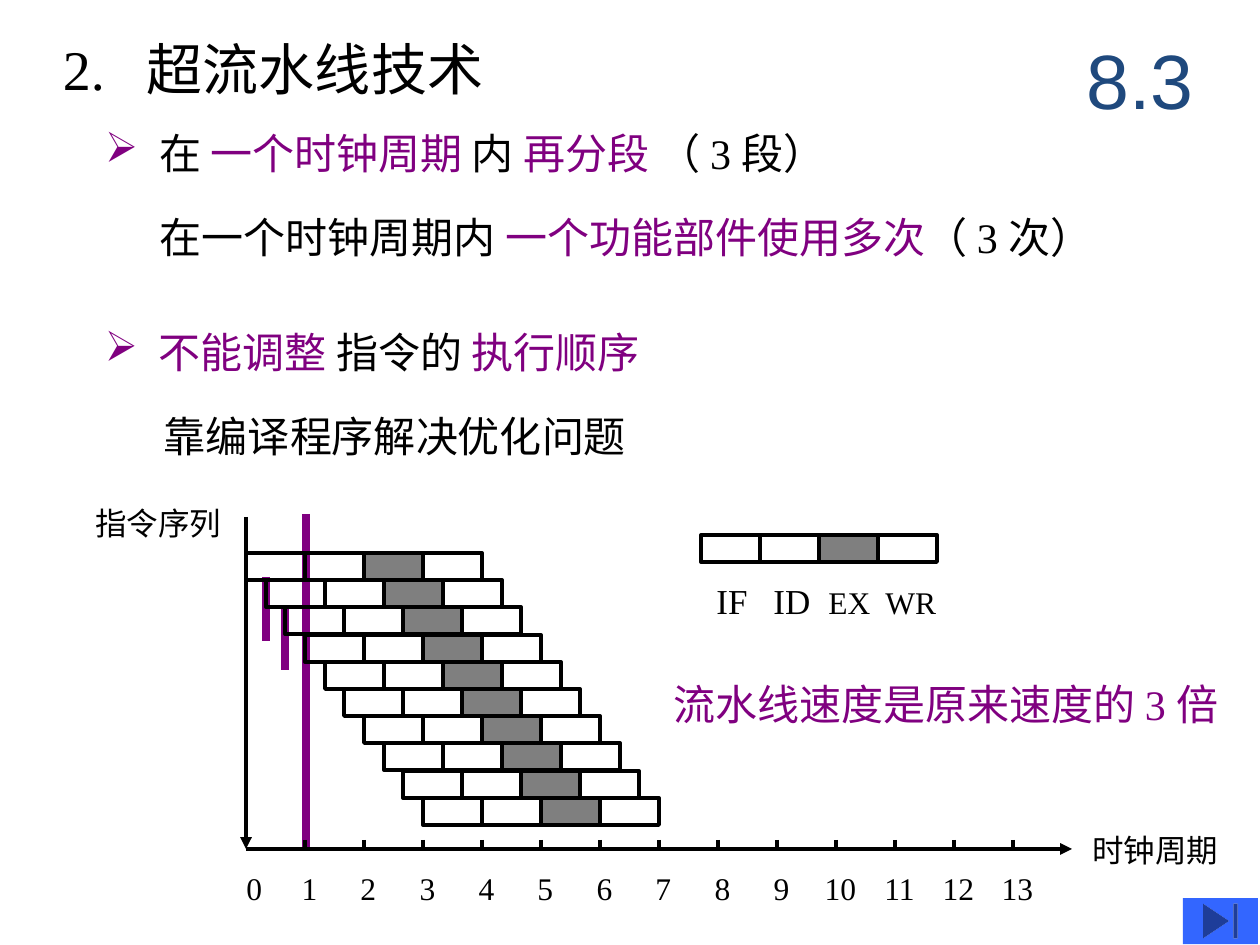
from dataclasses import dataclass

from lxml import etree
from pptx import Presentation
from pptx import util as u
from pptx.dml.color import RGBColor
from pptx.enum import shapes, text
from pptx.oxml.ns import qn

PX = u.Inches(1) / 126
CELL_W, CELL_H = 59, 27
AXIS_X, AXIS_Y = 246, 849
STAGES = 4
EXECUTE = 2
ROWS = 10
CYCLES = 13


@dataclass(frozen=True)
class Theme:
    """Colours, fonts and type sizes of the slide."""
    ink: str = "000000"
    accent: str = "800080"
    chapter: str = "1F497D"
    button: str = "3366FF"
    serif: str = "Times New Roman"
    sans: str = "Arial"
    title: int = 32
    body: int = 24
    legend: int = 20
    label: int = 18
    number: int = 44
    rule: float = 2.25
    marker: float = 4.5


T = Theme()


def px(n):
    """Turn pixels into EMU."""
    return round(n * PX)


def rgb(colour):
    """Return a colour object for a hex string."""
    return RGBColor.from_string(colour)


def add_bullet(p, indent):
    """Give a paragraph an arrowhead bullet with a hanging indent."""
    pPr = p._p.get_or_add_pPr()
    pPr.set("marL", str(px(indent)))
    pPr.set("indent", str(-px(indent)))
    clr = etree.SubElement(pPr, qn("a:buClr"))
    etree.SubElement(clr, qn("a:srgbClr"), val=T.accent)
    etree.SubElement(pPr, qn("a:buChar"), char="➢")


def add_tabs(p, stops, algn):
    """Give a paragraph tab stops at the given pixels."""
    tabs = etree.SubElement(p._p.get_or_add_pPr(), qn("a:tabLst"))
    for stop in stops:
        etree.SubElement(tabs, qn("a:tab"), pos=str(px(stop)), algn=algn)


def add_text(s, box, runs, *, size=T.body, colour=T.ink, font=T.serif, inset=0, wrap=False,
             anchor=text.MSO_ANCHOR.MIDDLE, align=text.PP_ALIGN.LEFT, bullet=0, tabs=(), tab_align="l"):
    """Add one paragraph whose runs are strings or (string, format) pairs."""
    tf = s.shapes.add_textbox(*map(px, box)).text_frame
    tf.word_wrap = wrap
    tf.vertical_anchor = anchor
    tf.margin_left = tf.margin_right = u.Inches(inset)
    p = tf.paragraphs[0]
    p.alignment = align
    if bullet:
        add_bullet(p, bullet)
    if tabs:
        add_tabs(p, tabs, tab_align)
    for item in [runs] if isinstance(runs, str) else runs:
        words, fmt = (item, {}) if isinstance(item, str) else item
        r = p.add_run()
        r.text = words
        r.font.name = font
        r.font.size = u.Pt(fmt.get("size", size))
        r.font.color.rgb = rgb(fmt.get("colour", colour))


def add_label(s, box, runs, **fmt):
    """Add a top-anchored diagram label."""
    fmt = {"size": T.label, "inset": 0.1, "wrap": True, **fmt}
    add_text(s, box, runs, anchor=text.MSO_ANCHOR.TOP, **fmt)


def add_line(s, x1, y1, x2, y2, *, colour=T.ink, width=T.rule, arrow=False):
    """Add a straight line, with an arrowhead at its end if asked."""
    c = s.shapes.add_connector(shapes.MSO_CONNECTOR.STRAIGHT, *map(px, (x1, y1, x2, y2)))
    c.line.color.rgb = rgb(colour)
    c.line.width = u.Pt(width)
    if arrow:
        etree.SubElement(c.line._get_or_add_ln(), qn("a:tailEnd"), type="triangle")
    etree.SubElement(c._element.spPr, qn("a:effectLst"))


def add_instruction(s, x, y):
    """Add the row of stage cells of one instruction."""
    for stage in range(STAGES):
        sp = s.shapes.add_shape(shapes.MSO_SHAPE.RECTANGLE, px(x + stage * CELL_W), px(y),
                                px(CELL_W), px(CELL_H))
        sp.shadow.inherit = False
        sp.line.color.rgb = rgb(T.ink)
        sp.line.width = u.Pt(T.rule)
        if stage == EXECUTE:
            sp.fill.solid()
            sp.fill.fore_color.rgb = rgb(T.ink)
            clr = sp._element.spPr.find(qn("a:solidFill")).find(qn("a:srgbClr"))
            etree.SubElement(clr, qn("a:alpha"), val="50000")
        else:
            sp.fill.background()


def add_end_button(s, box):
    """Add the button that leads to the end."""
    sp = s.shapes.add_shape(shapes.MSO_SHAPE.ACTION_BUTTON_END, *map(px, box))
    sp.shadow.inherit = False
    sp.fill.solid()
    sp.fill.fore_color.rgb = rgb(T.button)
    sp.line.fill.background()


def add_points(s):
    """Add the heading, the chapter number and the explanations."""
    accent = {"colour": T.accent}
    add_text(s, (63, 32, 606, 73), "2.\t超流水线技术", size=T.title, tabs=[84])
    add_text(s, (1061, 21, 158, 116), "8.3", size=T.number, colour=T.chapter, font=T.sans,
             inset=0.1, wrap=True, align=text.PP_ALIGN.CENTER)
    add_text(s, (105, 116, 951, 73),
             ["在 ", ("一个时钟周期 ", accent), "内 ", ("再分段", accent), " （ 3 段）"], bullet=54)
    add_text(s, (160, 200, 1092, 73),
             ["在一个时钟周期内 ", ("一个功能部件使用多次", accent), "（ 3 次）"])
    add_text(s, (105, 315, 620, 73),
             [("不能调整 ", accent), "指令的 ", ("执行顺序", accent)], bullet=54)
    add_text(s, (164, 399, 599, 73), "靠编译程序解决优化问题")
    add_label(s, (661, 672, 599, 63), "流水线速度是原来速度的 3 倍", size=T.body, colour=T.accent)


def add_pipeline(s):
    """Add the timing diagram with its axes and legend."""
    for x, top, bottom in [(306, 514, 848), (266, 577, 641), (285, 609, 670)]:
        add_line(s, x, top, x, bottom, colour=T.accent, width=T.marker)
    for row in range(ROWS):
        add_instruction(s, AXIS_X + round(row * CELL_W / 3), 553 + round(row * 27.2))
    add_instruction(s, 701, 535)
    add_label(s, (704, 573, 260, 55), ["IF\tID\t", ("EX\tWR", {"size": T.label})],
              size=T.legend, tabs=[57, 112, 169])
    add_line(s, AXIS_X, 517, AXIS_X, AXIS_Y, arrow=True)
    add_line(s, AXIS_X, AXIS_Y, 1072, AXIS_Y, arrow=True)
    cycles = range(1, CYCLES + 1)
    for n in cycles:
        add_line(s, AXIS_X + n * CELL_W, 840, AXIS_X + n * CELL_W, AXIS_Y)
    add_label(s, (234, 863, 840, 50), "\t".join(map(str, range(CYCLES + 1))),
              tabs=[n * CELL_W + 4 for n in cycles], tab_align="ctr")
    add_label(s, (1080, 825, 180, 50), "时钟周期")
    add_label(s, (83, 498, 180, 50), "指令序列")


def main():
    """Build the slide and save it."""
    prs = Presentation()
    prs.slide_width, prs.slide_height = px(1260), px(945)
    s = prs.slides.add_slide(prs.slide_layouts[6])
    add_points(s)
    add_pipeline(s)
    add_end_button(s, (1183, 898, 75, 46))
    prs.save("out.pptx")


if __name__ == "__main__":
    main()
